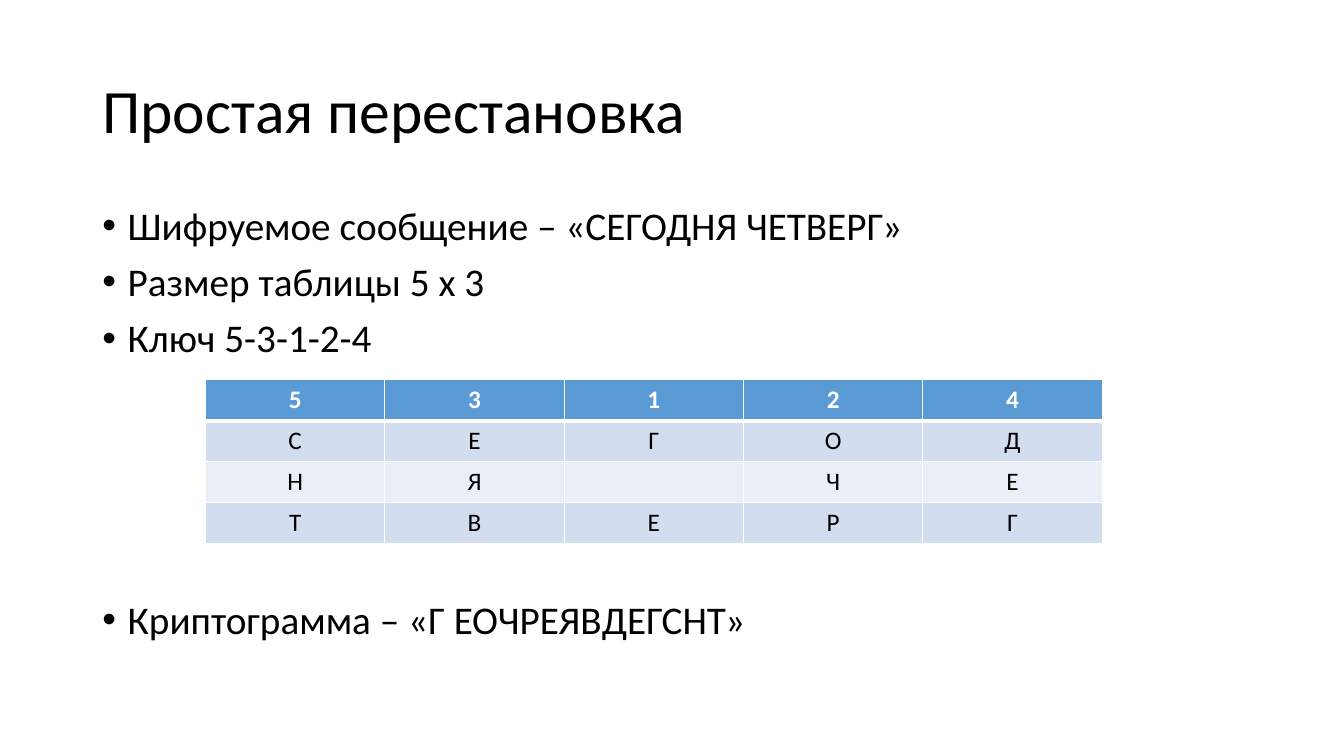
"""Builds the slide about the simple transposition cipher."""
from pptx import Presentation
from pptx.dml.color import RGBColor
from pptx.enum.text import MSO_ANCHOR, PP_ALIGN
from pptx.oxml.ns import qn
from pptx.util import Cm, Pt
from lxml.etree import SubElement

TITLE = "Простая перестановка"
BULLETS = [
    ("Шифруемое сообщение – «СЕГОДНЯ ЧЕТВЕРГ»", 10),
    ("Размер таблицы 5 х 3", 10),
    ("Ключ 5-3-1-2-4", 10),
    ("Криптограмма – «Г ЕОЧРЕЯВДЕГСНТ»", 171),
]
KEY_TABLE = ["53124", "СЕГОД", "НЯ ЧЕ", "ТВЕРГ"]

BLACK = RGBColor(0x00, 0x00, 0x00)
WHITE = RGBColor(0xFF, 0xFF, 0xFF)
HEADER_BLUE = RGBColor(0x5B, 0x9B, 0xD5)
BANDS = [RGBColor(0xEA, 0xEF, 0xF7), RGBColor(0xD2, 0xDE, 0xEF)]

TITLE_FONT = {"name": "Calibri", "size": Pt(44)}
BULLET_FONT = {"name": "Calibri", "size": Pt(28)}
HEADER_FONT = {"name": "Calibri", "size": Pt(18), "bold": True}
LETTER_FONT = {"name": "Calibri", "size": Pt(18), "bold": False}

LEFT, TEXT_WIDTH = Cm(2.33), Cm(29.21)
TABLE_LEFT, TABLE_TOP = Cm(5.18), Cm(9.57)
COLUMN_WIDTH, ROW_HEIGHT = Cm(4.52), Cm(1.03)
HANGING = Cm(0.64)


def add_span(para, text, style, color):
    """Adds a formatted run to a paragraph."""
    span = para.add_run()
    span.text = text
    for name, value in style.items():
        setattr(span.font, name, value)
    span.font.color.rgb = color


def add_text_frame(page, top, height, anchor):
    """Adds a wrapping text box and returns its frame."""
    frame = page.shapes.add_textbox(LEFT, top, TEXT_WIDTH, height).text_frame
    frame.word_wrap = True
    frame.vertical_anchor = anchor
    return frame


def add_bullet(para):
    """Gives a paragraph a hanging round bullet."""
    properties = para._p.get_or_add_pPr()
    properties.set("marL", str(HANGING))
    properties.set("indent", str(-HANGING))
    SubElement(properties, qn("a:buFont"), typeface="Arial")
    SubElement(properties, qn("a:buChar"), char="•")


def add_borders(cell, widths):
    """Draws white cell borders of the given widths."""
    properties = cell._tc.get_or_add_tcPr()
    for side, width in widths.items():
        line = SubElement(properties, qn(f"a:ln{side}"), w=str(Pt(width)))
        fill = SubElement(line, qn("a:solidFill"))
        SubElement(fill, qn("a:srgbClr"), val=str(WHITE))


def add_key_table(page):
    """Adds the table with the key above the message letters."""
    rows, columns = len(KEY_TABLE), len(KEY_TABLE[0])
    table = page.shapes.add_table(
        rows, columns, TABLE_LEFT, TABLE_TOP,
        COLUMN_WIDTH * columns, ROW_HEIGHT * rows).table
    for column in table.columns:
        column.width = COLUMN_WIDTH
    for index, letters in enumerate(KEY_TABLE):
        header = index == 0
        table.rows[index].height = ROW_HEIGHT
        for cell, letter in zip(table.rows[index].cells, letters):
            add_borders(cell, {"L": 1, "R": 1, "T": 3 if index == 1 else 1,
                               "B": 3 if header else 1})
            cell.fill.solid()
            cell.fill.fore_color.rgb = HEADER_BLUE if header else BANDS[index % 2]
            para = cell.text_frame.paragraphs[0]
            para.alignment = PP_ALIGN.CENTER
            if letter.strip():
                add_span(para, letter, HEADER_FONT if header else LETTER_FONT,
                         WHITE if header else BLACK)


deck = Presentation()
deck.slide_width, deck.slide_height = Cm(33.87), Cm(19.05)
page = deck.slides.add_slide(deck.slide_layouts[6])

title = add_text_frame(page, Cm(1.01), Cm(3.68), MSO_ANCHOR.MIDDLE).paragraphs[0]
title.line_spacing = 0.9
add_span(title, TITLE, TITLE_FONT, BLACK)

body = add_text_frame(page, Cm(5.07), Cm(12.09), MSO_ANCHOR.TOP)
for index, (text, gap) in enumerate(BULLETS):
    para = body.add_paragraph() if index else body.paragraphs[0]
    para.line_spacing = 0.9
    para.space_before = Pt(gap)
    add_bullet(para)
    add_span(para, text, BULLET_FONT, BLACK)

add_key_table(page)
deck.save("out.pptx")
